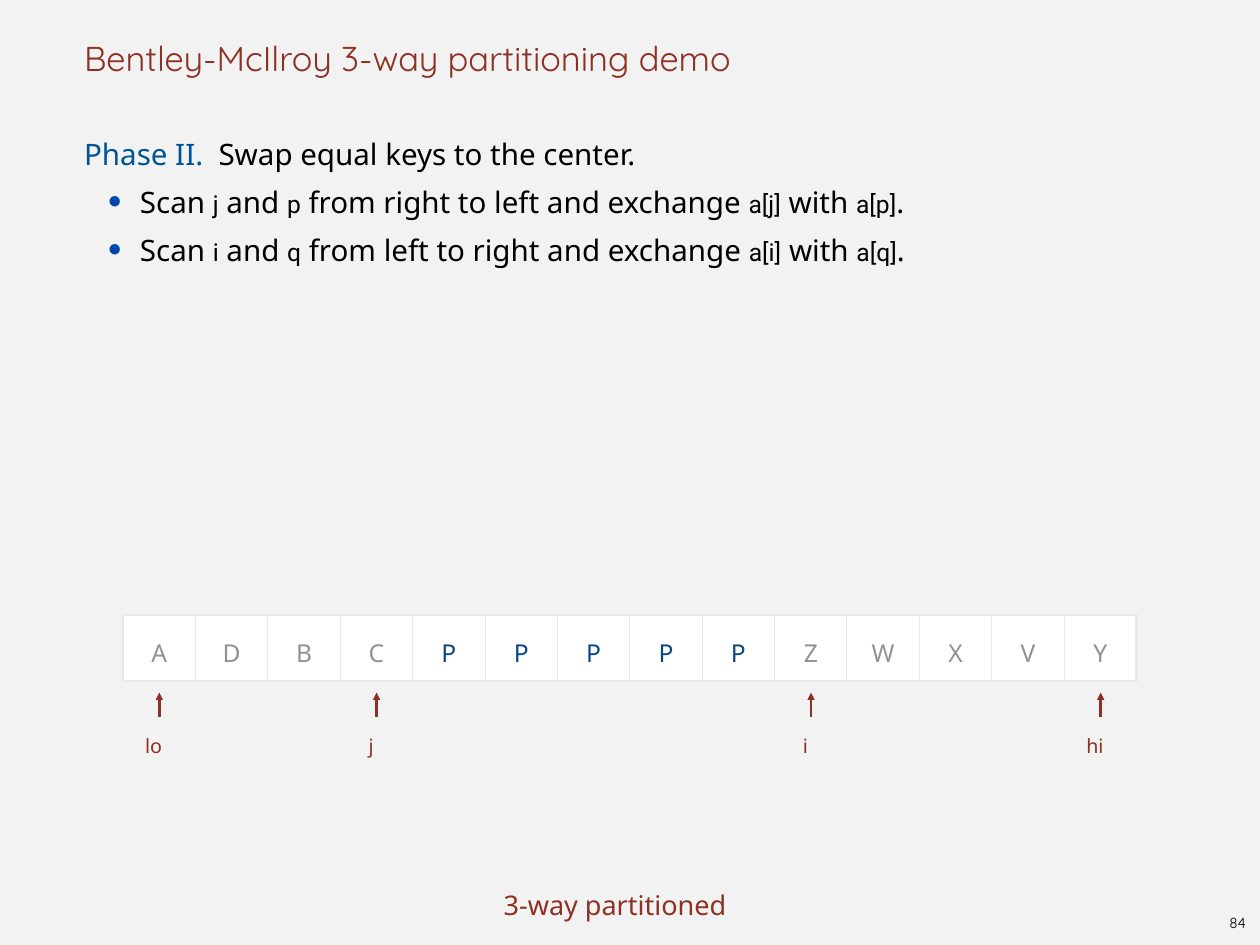
from lxml.etree import SubElement
from pptx import Presentation
from pptx.dml.color import RGBColor
from pptx.enum.shapes import MSO_CONNECTOR
from pptx.enum.text import MSO_ANCHOR, MSO_AUTO_SIZE, PP_ALIGN
from pptx.oxml.ns import qn
from pptx.util import Cm, Pt

BACKGROUND = RGBColor(0xF2, 0xF2, 0xF2)
BLACK = RGBColor(0x00, 0x00, 0x00)
WHITE = RGBColor(0xFF, 0xFF, 0xFF)
RED = RGBColor(0x8D, 0x31, 0x24)
PHASE_BLUE = RGBColor(0x00, 0x54, 0x93)
KEY_BLUE = RGBColor(0x0C, 0x46, 0x81)
BULLET_BLUE = RGBColor(0x00, 0x47, 0xAB)
GRAY = RGBColor(0x92, 0x92, 0x92)
BORDER = RGBColor(0xE7, 0xEA, 0xEB)

TEXT_FONT, TITLE_FONT, CODE_FONT = "Noto Sans", "Quicksand", "Roboto"

TITLE = "Bentley-McIlroy 3-way partitioning demo"
PHASE = ("Phase II.  ", "Swap equal keys to the center.")
# Prose and code alternate in each step
STEPS = [
    ("Scan ", "j", " and ", "p", " from right to left and exchange ", "a[j]", " with ", "a[p]", "."),
    ("Scan ", "i", " and ", "q", " from left to right and exchange ", "a[i]", " with ", "a[q]", "."),
]
KEYS = "ADBCPPPPPZWXVY"
PIVOT = "P"
POINTERS = {"lo": 0, "j": 3, "i": 9, "hi": 13}
RESULT = "3-way partitioned"
PAGE_NUMBER = "84"

ARRAY_LEFT, ARRAY_TOP, ARRAY_WIDTH, ARRAY_HEIGHT = Cm(3.53), Cm(17.63), Cm(29.06), Cm(1.9)
CELL_WIDTH = ARRAY_WIDTH // len(KEYS)
ARROW_TOP, ARROW_BOTTOM, LABEL_TOP = Cm(19.86), Cm(20.57), Cm(20.7)
INDENT = Cm(0.15)


def add_text(paragraph, text, size=24, font=TEXT_FONT, color=BLACK, align=PP_ALIGN.LEFT,
             spacing=None, left=INDENT, hanging=0, bullet=None):
    """Append a run to the paragraph and format both."""
    properties = paragraph._p.get_or_add_pPr()
    properties.set("marL", str(left))
    properties.set("indent", str(-hanging))
    if bullet:
        color_element = SubElement(properties, qn("a:buClr"))
        SubElement(color_element, qn("a:srgbClr"), val=str(BULLET_BLUE))
        SubElement(properties, qn("a:buSzPct"), val="167000")
        SubElement(properties, qn("a:buFont"), typeface=TEXT_FONT)
        SubElement(properties, qn("a:buChar"), char=bullet)
    elif not paragraph.runs:
        SubElement(properties, qn("a:buNone"))
    paragraph.alignment = align
    paragraph.space_before = paragraph.space_after = Pt(0)
    if spacing:
        paragraph.line_spacing = spacing
    run = paragraph.add_run()
    run.text = text
    run.font.size, run.font.name = Pt(size), font
    run.font.color.rgb = color


def prepare_frame(shape, anchor=MSO_ANCHOR.TOP, inset=0, wrap=True):
    frame = shape.text_frame
    frame.auto_size = MSO_AUTO_SIZE.NONE
    frame.word_wrap = wrap
    frame.vertical_anchor = anchor
    frame.margin_left = frame.margin_right = frame.margin_top = frame.margin_bottom = inset
    return frame


def place(shape, left, top, width, height):
    shape.left, shape.top, shape.width, shape.height = left, top, width, height


def add_label(slide, text, box, anchor=MSO_ANCHOR.TOP, inset=0, wrap=False, **text_format):
    frame = prepare_frame(slide.shapes.add_textbox(*box), anchor, inset, wrap)
    add_text(frame.paragraphs[0], text, **text_format)


def fill_body(body):
    place(body, Cm(2.26), Cm(3.53), Cm(31.6), Cm(22.58))
    frame = prepare_frame(body)
    for text, color in zip(PHASE, (PHASE_BLUE, BLACK)):
        add_text(frame.paragraphs[0], text, color=color, spacing=Pt(39))
    for step in STEPS:
        paragraph = frame.add_paragraph()
        paragraph.level = 1
        for position, text in enumerate(step):
            is_code = position % 2 == 1
            add_text(paragraph, text, size=20 if is_code else 24,
                     font=CODE_FONT if is_code else TEXT_FONT, spacing=Pt(39),
                     left=Cm(1.75), hanging=Cm(1.42),
                     bullet="・" if position == 0 else None)


def set_borders(cell, widths):
    """Draw the left, right, top and bottom borders, widths in points."""
    properties = cell._tc.get_or_add_tcPr()
    for position, (side, width) in enumerate(zip("LRTB", widths)):
        line = properties.makeelement(qn(f"a:ln{side}"), {"w": str(Pt(width))})
        fill = SubElement(line, qn("a:solidFill"))
        SubElement(fill, qn("a:srgbClr"), val=str(BORDER))
        properties.insert(position, line)


def add_array(slide):
    table = slide.shapes.add_table(1, len(KEYS), ARRAY_LEFT, ARRAY_TOP,
                                   ARRAY_WIDTH, ARRAY_HEIGHT).table
    table.first_row = table.horz_banding = False
    for index, key in enumerate(KEYS):
        table.columns[index].width = CELL_WIDTH
        cell = table.cell(0, index)
        cell.fill.solid()
        cell.fill.fore_color.rgb = WHITE
        cell.vertical_anchor = MSO_ANCHOR.MIDDLE
        cell.margin_left = cell.margin_right = cell.margin_top = cell.margin_bottom = INDENT
        is_first, is_last = index == 0, index == len(KEYS) - 1
        set_borders(cell, (2 if is_first else 1, 2 if is_last else 1, 2, 2))
        add_text(cell.text_frame.paragraphs[0], key, size=20, align=PP_ALIGN.CENTER,
                 color=KEY_BLUE if key == PIVOT else GRAY, spacing=1.3, left=0)


def add_pointer(slide, name, index):
    center = ARRAY_LEFT + CELL_WIDTH * index + CELL_WIDTH // 2
    arrow = slide.shapes.add_connector(MSO_CONNECTOR.STRAIGHT, center, ARROW_TOP,
                                       center, ARROW_BOTTOM)
    arrow.line.color.rgb = RED
    arrow.line.width = Pt(2)
    SubElement(arrow.line._get_or_add_ln(), qn("a:headEnd"), type="triangle")
    SubElement(arrow._element.spPr, qn("a:effectLst"))
    offset, width = (Cm(0.56), Cm(1)) if len(name) > 1 else (Cm(0.38), Cm(0.65))
    add_label(slide, name, (center - offset, LABEL_TOP, width, Cm(0.91)),
              size=16, color=RED, spacing=1.5)


def main():
    presentation = Presentation()
    presentation.slide_width, presentation.slide_height = Cm(36.12), Cm(27.1)
    slide = presentation.slides.add_slide(presentation.slide_layouts[1])
    slide.background.fill.solid()
    slide.background.fill.fore_color.rgb = BACKGROUND

    title, body = slide.placeholders
    place(title, Cm(2.26), Cm(0), Cm(31.6), Cm(2.26))
    add_text(prepare_frame(title, MSO_ANCHOR.BOTTOM).paragraphs[0], TITLE,
             size=28, font=TITLE_FONT, color=RED, spacing=Pt(59))
    fill_body(body)
    add_array(slide)
    for name, index in POINTERS.items():
        add_pointer(slide, name, index)
    add_label(slide, RESULT, (Cm(1.78), Cm(25.02), Cm(31.55), Cm(1.19)), wrap=True,
              size=22, color=RED, align=PP_ALIGN.CENTER, spacing=1.5)
    add_label(slide, PAGE_NUMBER, (Cm(35.05), Cm(26.04), Cm(0.86), Cm(0.81)),
              anchor=MSO_ANCHOR.MIDDLE, inset=INDENT, size=12, font=TITLE_FONT,
              align=PP_ALIGN.CENTER, left=0)
    presentation.save("out.pptx")


if __name__ == "__main__":
    main()
